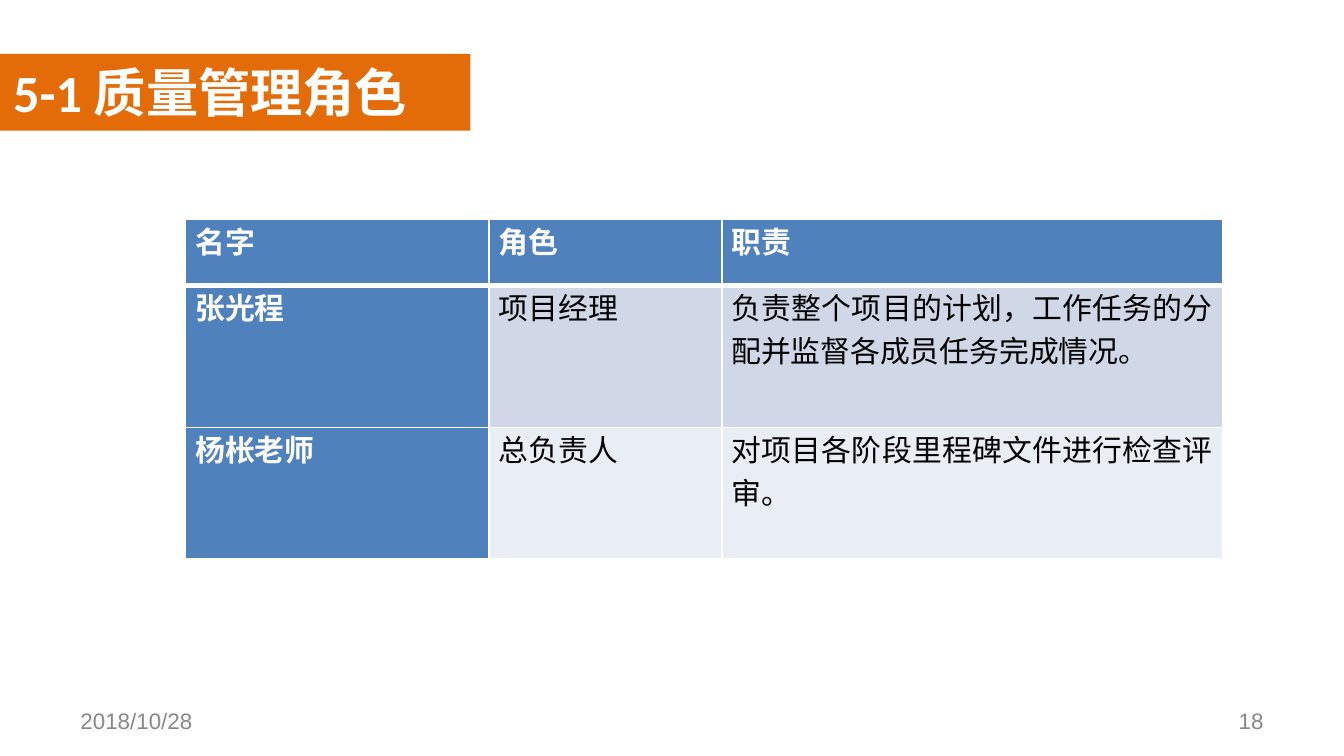
from lxml import etree
from pptx import Presentation
from pptx.dml.color import RGBColor
from pptx.enum.shapes import MSO_SHAPE
from pptx.enum.text import MSO_ANCHOR, PP_ALIGN
from pptx.oxml.ns import qn
from pptx.util import Pt

RECTANGLE = MSO_SHAPE.RECTANGLE
TOP, MIDDLE = MSO_ANCHOR.TOP, MSO_ANCHOR.MIDDLE
LEFT, RIGHT, JUSTIFY = PP_ALIGN.LEFT, PP_ALIGN.RIGHT, PP_ALIGN.JUSTIFY

COLOURS = {
    "white": "FFFFFF",
    "black": "000000",
    "orange": "E36C09",
    "blue": "4F81BD",
    "band_dark": "D0D8E8",
    "band_light": "E9EDF4",
    "grey": "898989",
}

ROLES = [
    ["名字", "角色", "职责"],
    ["张光程", "项目经理", "负责整个项目的计划，工作任务的分配并监督各成员任务完成情况。"],
    ["杨枨老师", "总负责人", "对项目各阶段里程碑文件进行检查评审。"],
]
COLUMN_WIDTHS = [162.7, 124.6, 268.6]
ROW_HEIGHTS = [35.3, 76.3, 70.2]


class SlideBuilder:
    def __init__(self, page):
        self.page = page
        self.body_font = "Arial"
        self.title_font = "Calibri"

    def colour(self, name):
        return RGBColor.from_string(COLOURS[name])

    def fill(self, target, name):
        target.fill.solid()
        target.fill.fore_color.rgb = self.colour(name)

    def add_text(self, frame, text, size, colour, bold=False, font=None, align=LEFT):
        frame.word_wrap = True
        para = frame.paragraphs[0]
        para.alignment = align
        span = para.add_run()
        span.text = text
        span.font.name = font or self.body_font
        span.font.size = Pt(size)
        span.font.bold = bold
        span.font.color.rgb = self.colour(colour)

    def banner(self, left, top, width, height, colour):
        bar = self.page.shapes.add_shape(
            RECTANGLE, Pt(left), Pt(top), Pt(width), Pt(height))
        bar.shadow.inherit = False
        self.fill(bar, colour)
        bar.line.fill.background()

    def text_box(self, left, top, width, height, text, size, colour,
                 anchor=TOP, **style):
        box = self.page.shapes.add_textbox(
            Pt(left), Pt(top), Pt(width), Pt(height))
        box.text_frame.vertical_anchor = anchor
        self.add_text(box.text_frame, text, size, colour, **style)

    def border(self, cell, side, width):
        """Add a white line; sides must come in the order L, R, T, B."""
        properties = cell._tc.get_or_add_tcPr()
        line = etree.Element(qn(f"a:ln{side}"), w=str(Pt(width)))
        solid = etree.SubElement(line, qn("a:solidFill"))
        etree.SubElement(solid, qn("a:srgbClr"), val=COLOURS["white"])
        properties.append(line)

    def table(self, left, top, widths, heights, rows):
        table = self.page.shapes.add_table(
            len(rows), len(widths), Pt(left), Pt(top),
            Pt(sum(widths)), Pt(sum(heights))).table
        table.first_col = True
        for column, width in zip(table.columns, widths):
            column.width = Pt(width)
        for row, height in zip(table.rows, heights):
            row.height = Pt(height)
        for r, texts in enumerate(rows):
            for c, text in enumerate(texts):
                self.table_cell(table.cell(r, c), text, r, c)

    def table_cell(self, cell, text, row, column):
        heading = row == 0 or column == 0
        cell.margin_left = cell.margin_right = Pt(5.2)
        cell.margin_top = cell.margin_bottom = 0
        for side in "LRTB":
            header_edge = (row, side) in ((0, "B"), (1, "T"))
            self.border(cell, side, 3 if header_edge else 1)
        band = "band_dark" if row % 2 else "band_light"
        self.fill(cell, "blue" if heading else band)
        self.add_text(cell.text_frame, text, 16, "white" if heading else "black",
                      bold=heading, align=JUSTIFY)


def main():
    deck = Presentation()
    deck.slide_width, deck.slide_height = Pt(720), Pt(405)
    builder = SlideBuilder(deck.slides.add_slide(deck.slide_layouts[6]))

    title_area = (0, 28.8, 252, 41.2)
    builder.banner(*title_area, "orange")
    builder.text_box(*title_area, "5-1 质量管理角色", 28, "white",
                     bold=True, font=builder.title_font)

    builder.table(99.4, 117.4, COLUMN_WIDTHS, ROW_HEIGHTS, ROLES)

    for left, text, align in ((36, "2018/10/28", LEFT), (516, "18", RIGHT)):
        builder.text_box(left, 375.4, 168, 21.6, text, 12, "grey",
                         anchor=MIDDLE, align=align)

    deck.save("out.pptx")


if __name__ == "__main__":
    main()
